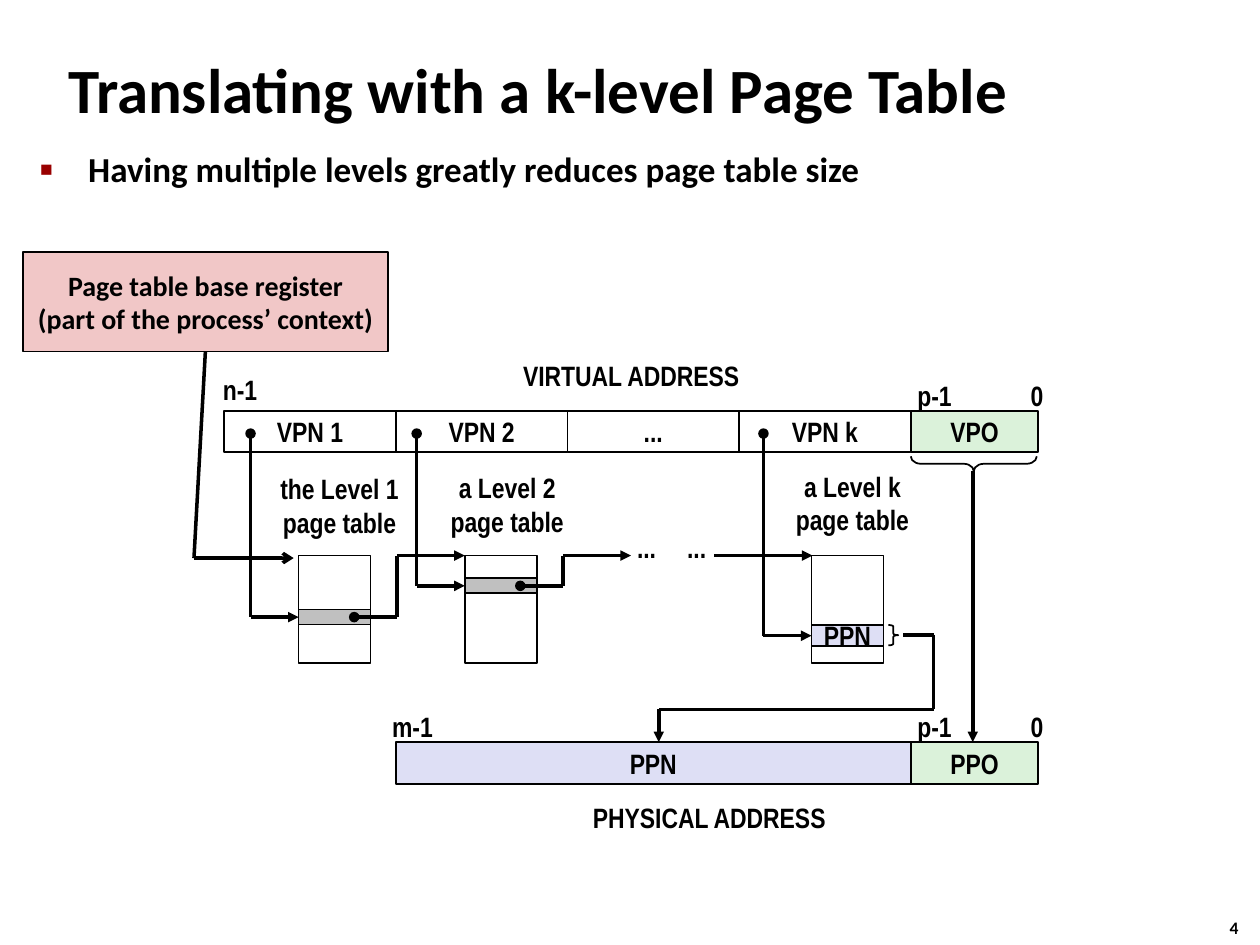
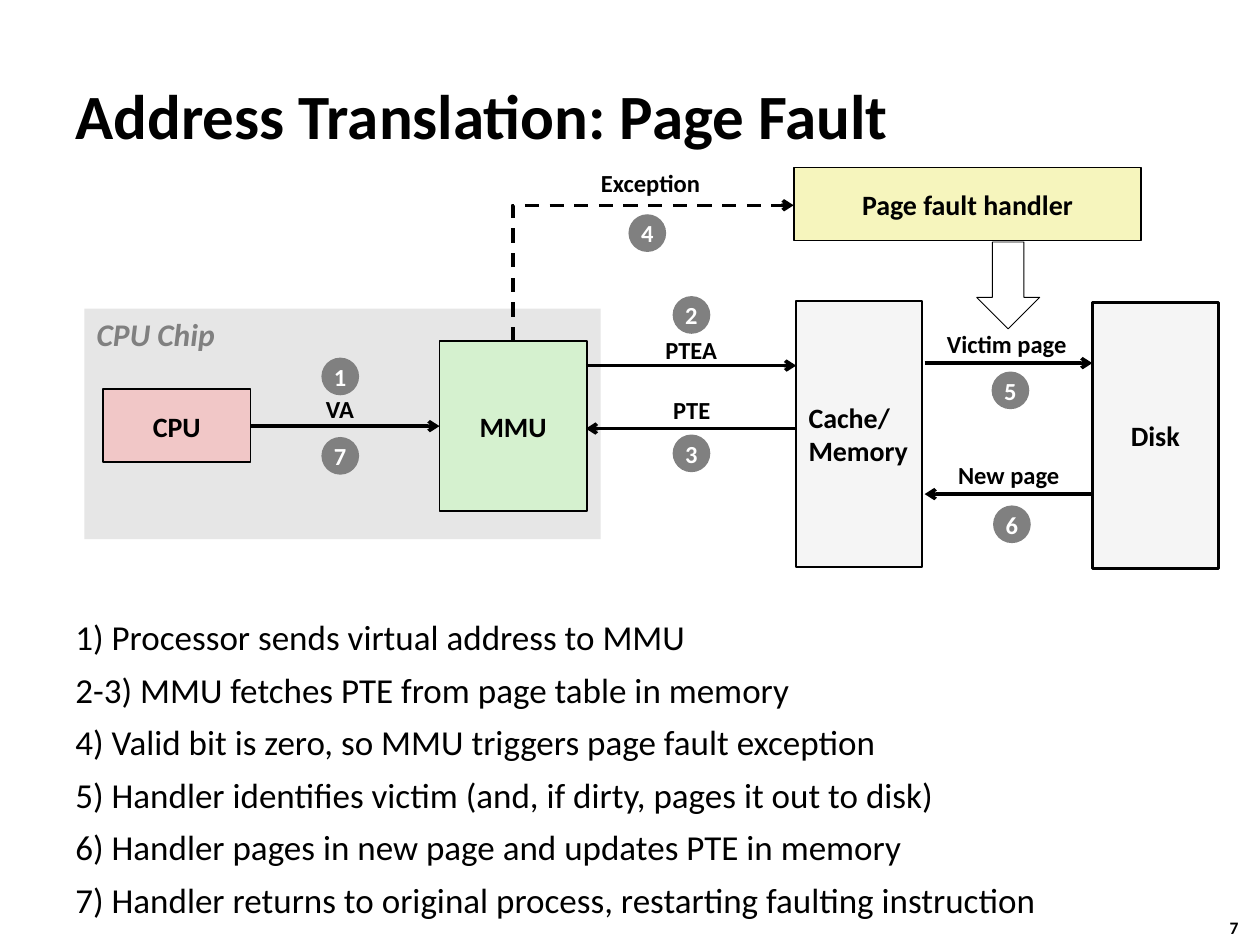
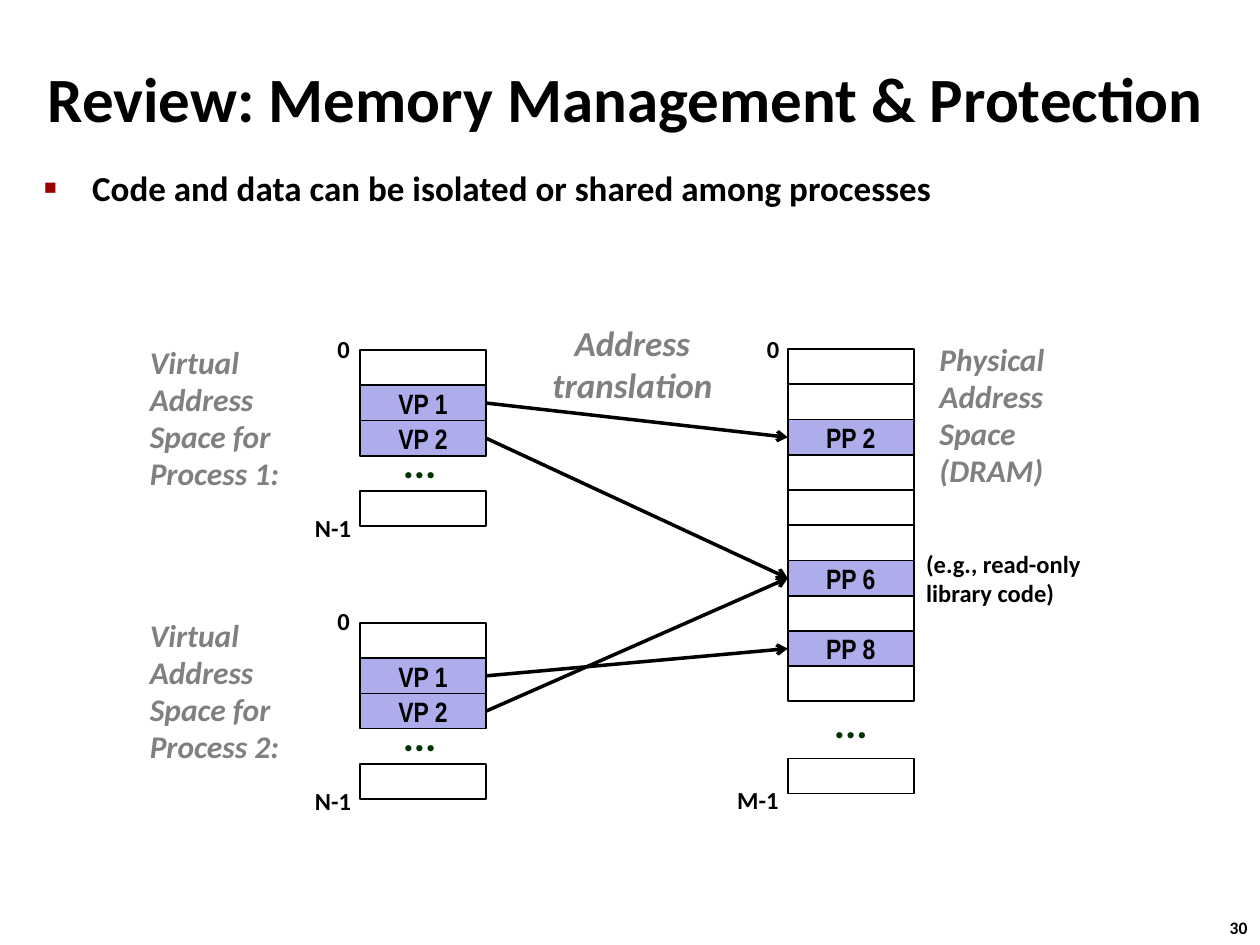
from lxml.etree import SubElement
from pptx import Presentation
from pptx.dml.color import RGBColor
from pptx.enum.dml import MSO_LINE
from pptx.enum.shapes import MSO_CONNECTOR, MSO_SHAPE
from pptx.enum.text import MSO_ANCHOR, MSO_AUTO_SIZE, PP_ALIGN
from pptx.oxml.ns import qn
from pptx.util import Cm, Pt

BLACK = RGBColor(0x00, 0x00, 0x00)
WHITE = RGBColor(0xFF, 0xFF, 0xFF)
GRAY = RGBColor(0x80, 0x80, 0x80)
ENTRY_GRAY = RGBColor(0xC0, 0xC0, 0xC0)
CHIP_GRAY = RGBColor(0xE6, 0xE6, 0xE6)
MEMORY_GRAY = RGBColor(0xF5, 0xF5, 0xF5)
PINK = RGBColor(0xF1, 0xC7, 0xC7)
OFFSET_GREEN = RGBColor(0xDB, 0xF2, 0xDA)
MMU_GREEN = RGBColor(0xD5, 0xF1, 0xCF)
DOT_GREEN = RGBColor(0x00, 0x33, 0x00)
LAVENDER = RGBColor(0xDE, 0xDF, 0xF5)
PAGE_BLUE = RGBColor(0xAD, 0xAD, 0xEB)
YELLOW = RGBColor(0xF6, 0xF5, 0xBD)
BULLET_RED = "990000"

BODY, NARROW = "Calibri", "Arial Narrow"
CENTER, LEFT = PP_ALIGN.CENTER, PP_ALIGN.LEFT
MIDDLE, TOP = MSO_ANCHOR.MIDDLE, MSO_ANCHOR.TOP

# Formats shared by several kinds of text
TITLE = {"size": Pt(36), "bold": True}
BULLET = {"size": Pt(20), "bold": True}
STEP = {"size": Pt(20), "bold": False}
NAME = {"size": Pt(16), "bold": True}
FIELD = {"size": Pt(16), "bold": True, "name": NARROW}
SMALL = {"size": Pt(14), "bold": True}
BADGE = {"size": Pt(14), "bold": True, "color": WHITE}
REGION = {"size": Pt(18), "bold": True, "italic": True, "color": GRAY}
HEADING = {"size": Pt(20), "bold": True, "italic": True, "color": GRAY}
DOTS = {"size": Pt(24), "bold": True, "color": DOT_GREEN}
NUMBER = {"size": Pt(10), "bold": True}


# ---- Kinds of element ----

def write(sp, text, fmt, align=LEFT, anchor=MIDDLE, wrap=True, **spacing):
    """Fill a shape with one paragraph per line of text."""
    tf = sp.text_frame
    tf.word_wrap, tf.vertical_anchor = wrap, anchor
    for i, line in enumerate(text.split("\n")):
        p = tf.paragraphs[0] if i == 0 else tf.add_paragraph()
        p.alignment = align
        for key, value in spacing.items():
            setattr(p, key, value)
        r = p.add_run()
        r.text = line
        font = {"name": BODY, "color": BLACK, **fmt}
        r.font.color.rgb = font.pop("color")
        for key, value in font.items():
            setattr(r.font, key, value)
    return tf


def label(sl, text, x, y, w, h, fmt=FIELD, align=CENTER, anchor=MIDDLE,
          wrap=False, **spacing):
    """Text box that grows with its text."""
    sp = sl.shapes.add_textbox(Cm(x), Cm(y), Cm(w), Cm(h))
    tf = write(sp, text, fmt, align, anchor, wrap, **spacing)
    tf.auto_size = MSO_AUTO_SIZE.SHAPE_TO_FIT_TEXT


def shape(sl, x, y, w, h, text="", fill=None, line=1, fmt=FIELD,
          kind=MSO_SHAPE.RECTANGLE, align=CENTER, wrap=False):
    sp = sl.shapes.add_shape(kind, Cm(x), Cm(y), Cm(w), Cm(h))
    sp.shadow.inherit = False
    if fill is None:
        sp.fill.background()
    else:
        sp.fill.solid()
        sp.fill.fore_color.rgb = fill
    if line:
        sp.line.color.rgb = BLACK
        sp.line.width = Pt(line)
    else:
        sp.line.fill.background()
    if text:
        write(sp, text, fmt, align, wrap=wrap)
    return sp


def connect(sl, start, end, head=None, tail=None, kind=MSO_CONNECTOR.STRAIGHT,
            dash=None):
    c = sl.shapes.add_connector(kind, *map(Cm, start + end))
    c.line.color.rgb = BLACK
    c.line.width = Pt(2)
    if dash:
        c.line.dash_style = dash
    spPr = c.element.spPr
    ln = spPr.find(qn("a:ln"))
    for tag, style in (("a:headEnd", head), ("a:tailEnd", tail)):
        if style:
            SubElement(ln, qn(tag), type=style)
    SubElement(spPr, qn("a:effectLst"))
    return c


def route(sl, *points, head=None, tail="triangle"):
    """Straight lines from point to point, with ends on the outer two."""
    last = len(points) - 2
    for i, (start, end) in enumerate(zip(points, points[1:])):
        connect(sl, start, end, head if i == 0 else None,
                tail if i == last else None)


def corner(sl, start, end):
    """Dashed arrow that goes up and then right."""
    c = connect(sl, start, end, tail="arrow", kind=MSO_CONNECTOR.ELBOW,
                dash=MSO_LINE.DASH)
    across, up = end[0] - start[0], start[1] - end[1]
    mid_x, mid_y = (start[0] + end[0]) / 2, (start[1] + end[1]) / 2
    c.left, c.top = Cm(mid_x - up / 2), Cm(mid_y - across / 2)
    c.width, c.height = Cm(up), Cm(across)
    spPr = c.element.spPr
    for key, value in {"rot": "5400000", "flipH": "1", "flipV": "1"}.items():
        spPr.find(qn("a:xfrm")).set(key, value)
    spPr.find(qn("a:prstGeom")).set("prst", "bentConnector2")


def brace(sl, x, y, w, h, curve, rotation=0):
    sp = shape(sl, x, y, w, h, kind=MSO_SHAPE.RIGHT_BRACE)
    sp.adjustments[0] = curve
    sp.rotation = rotation


def body_text(sl, text, x, y, w, h, fmt, bullet=False, **spacing):
    """Paragraphs with a hanging indent, with or without square bullets."""
    sp = sl.shapes.add_textbox(Cm(x), Cm(y), Cm(w), Cm(h))
    tf = write(sp, text, fmt, anchor=TOP, **spacing)
    indent = Cm(0.97)
    for p in tf.paragraphs:
        pPr = p._p.get_or_add_pPr()
        pPr.set("marL", str(indent))
        pPr.set("indent", str(-indent))
        if bullet:
            color = SubElement(pPr, qn("a:buClr"))
            SubElement(color, qn("a:srgbClr"), val=BULLET_RED)
            SubElement(pPr, qn("a:buSzPct"), val="60000")
            SubElement(pPr, qn("a:buFont"), typeface="Arial")
            SubElement(pPr, qn("a:buChar"), char="■")


def bullet_line(sl, text, x, y):
    body_text(sl, text, x, y, 24.33, 2.34, BULLET, bullet=True,
              line_spacing=0.83, space_before=Pt(12))


def new_slide(prs, title, number, x, y, w, h):
    """Title-only slide with its title and slide number."""
    sl = prs.slides.add_slide(prs.slide_layouts[5])
    sp = sl.shapes.title
    sp.left, sp.top, sp.width, sp.height = map(Cm, (x, y, w, h))
    write(sp, title, TITLE).auto_size = MSO_AUTO_SIZE.NONE
    label(sl, number, 24.54, 18.36, 0.94, 0.69, NUMBER, LEFT, TOP)
    return sl


# ---- Slide 1: k-level page table ----

def page_table(sl, x, entry_y, entry_h, fill, text=""):
    """Table with one entry, which an address field points to."""
    top, w, h = 11.2, 1.45, 2.16
    field_x, entry_mid = x - 0.97, entry_y + entry_h / 2
    shape(sl, x, top, w, h)
    route(sl, (field_x, 8.74), (field_x, entry_mid), (x, entry_mid),
          head="oval")
    shape(sl, x, entry_y, w, entry_h, text, fill)
    return entry_mid


def page_table_slide(prs):
    sl = new_slide(prs, "Translating with a k-level Page Table", "4",
                   1.12, 0.69, 23.01, 2.18)
    bullet_line(sl, "Having multiple levels greatly reduces page table size",
                0.56, 3)

    # Base register
    shape(sl, 0.46, 5.08, 7.37, 2.01,
          "Page table base register\n(part of the process’ context)",
          PINK, fmt=NAME, wrap=True)
    route(sl, (4.14, 7.09), (3.91, 11.25), (5.92, 11.25), tail="arrow")

    # Virtual and physical address
    left, cell_w, cell_h, offset_w = 4.52, 3.46, 0.84, 2.57
    virtual_y, physical_y = 8.28, 14.96
    offset_x = left + 4 * cell_w
    for i, text in enumerate(("VPN 1", "VPN 2", "...", "VPN k")):
        shape(sl, left + i * cell_w, virtual_y, cell_w, cell_h, text)
    shape(sl, left + cell_w, physical_y, 3 * cell_w, cell_h, "PPN", LAVENDER)
    for y, text in ((virtual_y, "VPO"), (physical_y, "PPO")):
        shape(sl, offset_x, y, offset_w, cell_h, text, OFFSET_GREEN)
        label(sl, "p-1", 18.19, y - 0.79, 1.3, 0.94)
        label(sl, "0", 20.5, y - 0.79, 0.81, 0.94)
    label(sl, "n-1", 4.19, 7.37, 1.3, 0.94)
    label(sl, "m-1", 7.59, 14.17, 1.45, 0.94)
    label(sl, "VIRTUAL ADDRESS", 10.26, 7.09, 4.93, 0.94)
    label(sl, "PHYSICAL ADDRESS", 11.66, 16, 5.28, 0.94)

    # Page tables, each leading to the next
    table_y = 11.2
    for x, entry_y in ((6.02, 12.29), (9.37, 11.66)):
        y = page_table(sl, x, entry_y, 0.3, ENTRY_GRAY)
        route(sl, (x + 1.12, y), (x + 1.98, y), (x + 1.98, table_y),
              (x + 3.35, table_y), head="oval")
    page_table(sl, 16.36, 12.6, 0.43, LAVENDER, "PPN")
    route(sl, (14.4, table_y), (16.38, table_y))
    for x in (12.55, 13.56):
        label(sl, "...", x, 10.57, 0.97, 0.94)
    for text, x, y, w in (("the Level 1", 5.31, 9.37, 3.07),
                          ("a Level 2", 8.74, 9.35, 2.97),
                          ("a Level k", 15.7, 9.32, 2.97)):
        label(sl, text + "\npage table", x, y, w, 1.63)

    # Page number and offset go into the physical address
    brace(sl, 19.48, 8.08, 0.3, 2.54, 0.68, rotation=90)
    brace(sl, 17.91, 12.6, 0.2, 0.41, 0.16)
    route(sl, (19.61, 9.5), (19.61, physical_y))
    route(sl, (18.21, 12.8), (18.82, 12.8), (18.82, 14.3), (13.28, 14.3),
          (13.28, physical_y))


# ---- Slide 2: page fault ----

def page_fault_slide(prs):
    sl = new_slide(prs, "Address Translation: Page Fault", "7",
                   1.27, 1.22, 24.21, 2.18)
    steps = ("1) Processor sends virtual address to MMU",
             "2-3) MMU fetches PTE from page table in memory",
             "4) Valid bit is zero, so MMU triggers page fault exception",
             "5) Handler identifies victim (and, if dirty, pages it out to disk)",
             "6) Handler pages in new page and updates PTE in memory",
             "7) Handler returns to original process, restarting faulting "
             "instruction")
    body_text(sl, "\n".join(steps), 1.27, 12.5, 22.23, 5.72, STEP,
              line_spacing=0.73, space_before=Pt(12.5))

    # Units
    shape(sl, 1.7, 6.22, 10.41, 4.65, fill=CHIP_GRAY, line=0)
    label(sl, "CPU Chip", 1.7, 6.22, 2.95, 1.02, REGION, LEFT, TOP)
    for text, x, y, w, h, fill, line, align in (
            ("CPU", 2.08, 7.85, 2.97, 1.47, PINK, 1, CENTER),
            ("MMU", 8.86, 6.88, 2.97, 3.43, MMU_GREEN, 1, CENTER),
            ("Cache/\nMemory", 16.05, 6.07, 2.54, 5.36, MEMORY_GRAY, 1.5, LEFT),
            ("Disk", 22.02, 6.1, 2.54, 5.36, MEMORY_GRAY, 1.5, CENTER),
            ("Page fault handler", 16, 3.38, 7.01, 1.47, YELLOW, 1, CENTER)):
        shape(sl, x, y, w, h, text, fill, line, NAME, align=align)

    # Transfers
    for x1, x2, y in ((5.05, 8.86, 8.59), (11.81, 16.05, 7.37),
                      (16.05, 11.81, 8.64), (18.64, 22.02, 7.32),
                      (22.02, 18.64, 9.96)):
        connect(sl, (x1, y), (x2, y), tail="arrow")
    corner(sl, (10.34, 6.88), (16, 4.14))
    shape(sl, 19.69, 4.88, 1.27, 1.75, line=0.5, kind=MSO_SHAPE.DOWN_ARROW)
    for text, x, y, w in (("VA", 6.32, 7.85, 1.07),
                          ("PTEA", 13.16, 6.65, 1.55),
                          ("PTE", 13.31, 7.87, 1.27),
                          ("Victim page", 18.82, 6.53, 2.95),
                          ("New page", 19.05, 9.17, 2.57),
                          ("Exception", 11.86, 3.28, 2.51)):
        label(sl, text, x, y, w, 0.84, SMALL, line_spacing=0.98)

    # Step badges
    badges = ((6.48, 7.21), (13.56, 5.97), (13.56, 8.76), (12.67, 4.32),
              (19.99, 7.49), (20.02, 10.19), (6.48, 8.81))
    for number, (x, y) in enumerate(badges, 1):
        shape(sl, x, y, 0.76, 0.76, str(number), GRAY, 0, BADGE,
              MSO_SHAPE.OVAL)


# ---- Slide 3: memory management and protection ----

CELL_W, CELL_H = 2.54, 0.71


def note(sl, text, x, y, w, h, fmt=SMALL, wrap=False):
    label(sl, text, x, y, w, h, fmt, LEFT, TOP, wrap, line_spacing=0.98)


def dots(sl, x, y):
    label(sl, "...", x, y, 1.19, 1.14, DOTS, LEFT, TOP,
          line_spacing=0.88, space_before=Pt(9))


def pages(sl, x, y, count, names):
    """Column of pages; names maps a page index to its text."""
    for i in range(count):
        text = names.get(i, "")
        shape(sl, x, y + i * CELL_H, CELL_W, CELL_H, text,
              PAGE_BLUE if text else None, wrap=True)


def protection_slide(prs):
    sl = new_slide(prs, "Review: Memory Management & Protection", "30",
                   0.71, 1.17, 24.49, 1.6)
    bullet_line(sl, "Code and data can be isolated or shared among processes",
                0.64, 3.38)
    virtual_x, virtual_y, process_gap = 7.26, 7.06, 5.5
    physical_x, physical_y = 15.88, 7.04

    # Physical address space
    pages(sl, physical_x, physical_y, 10, {i: f"PP {i}" for i in (2, 6, 8)})
    shape(sl, physical_x, 15.29, CELL_W, CELL_H)
    dots(sl, 16.56, 14.05)
    note(sl, "0", 15.21, 6.63, 0.79, 0.84)
    note(sl, "M-1", 14.61, 15.72, 1.35, 0.84)
    note(sl, "Physical\nAddress\nSpace (DRAM)", 18.69, 6.76, 2.97, 3.28,
         REGION, wrap=True)
    note(sl, "(e.g., read-only\nlibrary code)", 18.42, 10.97, 4.04, 1.42,
         wrap=True)

    # Virtual address spaces; targets map virtual to physical pages
    for process, targets in enumerate(({1: 2, 2: 6}, {1: 8, 2: 6})):
        down = process * process_gap
        y = virtual_y + down
        note(sl, f"Virtual Address Space for Process {process + 1}:",
             2.77, 6.83 + down, 3.81, 3.25, REGION, wrap=True)
        pages(sl, virtual_x, y, 3, {i: f"VP {i}" for i in targets})
        shape(sl, virtual_x, y + 4 * CELL_H, CELL_W, CELL_H)
        dots(sl, 7.87, 8.81 + down)
        note(sl, "0", 6.55, 6.63 + down, 0.79, 0.84)
        note(sl, "N-1", 6.1, 10.24 + down, 1.24, 0.84)
        for vp, pp in targets.items():
            connect(sl, (virtual_x + CELL_W, y + (vp + 0.5) * CELL_H),
                    (physical_x, physical_y + (pp + 0.5) * CELL_H),
                    tail="arrow")
    label(sl, "Address\ntranslation", 10.87, 6.35, 3.76, 1.96, HEADING,
          anchor=TOP)


def main():
    prs = Presentation()
    prs.slide_width, prs.slide_height = Cm(25.4), Cm(19.05)
    page_table_slide(prs)
    page_fault_slide(prs)
    protection_slide(prs)
    prs.save("out.pptx")


main()
